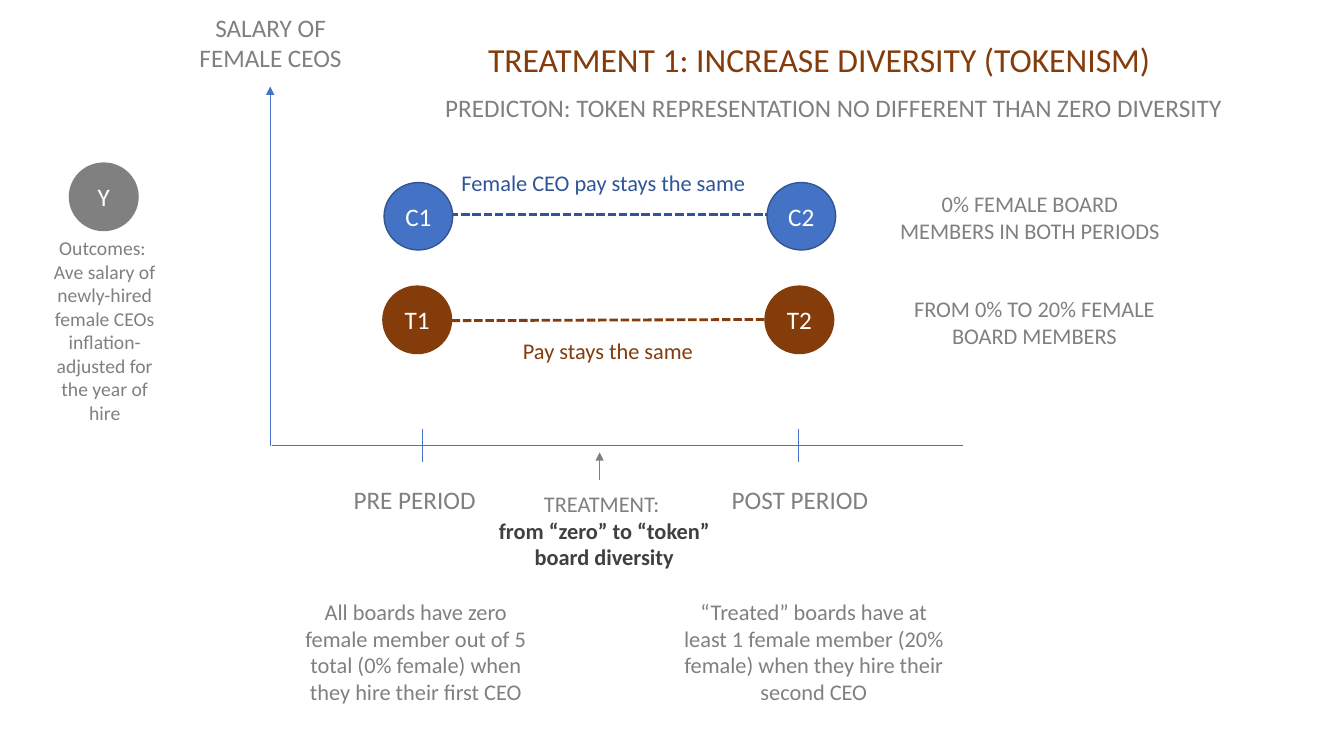
from lxml.etree import SubElement
from pptx import Presentation
from pptx.dml.color import RGBColor
from pptx.enum.dml import MSO_LINE
from pptx.enum.shapes import MSO_CONNECTOR, MSO_SHAPE
from pptx.enum.text import MSO_ANCHOR, MSO_AUTO_SIZE, PP_ALIGN
from pptx.oxml.ns import qn
from pptx.util import Cm, Pt

GREY, DARK, WHITE = "808080", "404040", "FFFFFF"
BLUE, NAVY, OUTLINE, BROWN = "4472C4", "2F5597", "325491", "843C0B"


def color(value):
    return RGBColor.from_string(value)


class Diagram:
    font_name = "Calibri"
    circle_width, circle_height = 1.73, 1.7

    def __init__(self, page):
        self.page = page

    def add_span(self, para, text, size, tone, bold=False):
        span = para.add_run()
        span.text = text
        formats = {"name": self.font_name, "size": Pt(size), "bold": bold}
        for name, value in formats.items():
            setattr(span.font, name, value)
        span.font.color.rgb = color(tone)

    def label(self, place, lines, size, tone=GREY, wrap=True, align=PP_ALIGN.CENTER):
        box = self.page.shapes.add_textbox(*map(Cm, place))
        frame = box.text_frame
        formats = {"word_wrap": wrap, "auto_size": MSO_AUTO_SIZE.SHAPE_TO_FIT_TEXT}
        for name, value in formats.items():
            setattr(frame, name, value)
        for index, line in enumerate(lines):
            para = frame.add_paragraph() if index else frame.paragraphs[0]
            para.alignment = align
            text, tint, bold = line if isinstance(line, tuple) else (line, tone, False)
            self.add_span(para, text, size, tint, bold)

    def tag(self, place, text, size, tone=GREY):
        self.label(place, [text], size, tone, wrap=False, align=PP_ALIGN.LEFT)

    def circle(self, left, top, text, fill, outline):
        place = (left, top, self.circle_width, self.circle_height)
        shape = self.page.shapes.add_shape(MSO_SHAPE.OVAL, *map(Cm, place))
        shape.shadow.inherit = False
        shape.fill.solid()
        shape.fill.fore_color.rgb = color(fill)
        shape.line.color.rgb = color(outline)
        shape.line.width = Pt(1)
        frame = shape.text_frame
        frame.vertical_anchor = MSO_ANCHOR.MIDDLE
        para = frame.paragraphs[0]
        para.alignment = PP_ALIGN.CENTER
        self.add_span(para, text, 18, WHITE)

    def line(self, ends, tone=BLUE, width=0.5, dashed=False, arrow=False):
        link = self.page.shapes.add_connector(MSO_CONNECTOR.STRAIGHT, *map(Cm, ends))
        link.line.color.rgb = color(tone)
        link.line.width = Pt(width)
        if dashed:
            link.line.dash_style = MSO_LINE.SQUARE_DOT
        properties = link._element.spPr
        if arrow:
            SubElement(properties.get_or_add_ln(), qn("a:tailEnd"), type="triangle")
        SubElement(properties, qn("a:effectLst"))


def main():
    deck = Presentation()
    deck.slide_width, deck.slide_height = Cm(33.87), Cm(19.05)
    diagram = Diagram(deck.slides.add_slide(deck.slide_layouts[6]))

    diagram.line((6.81, 11.23, 6.81, 2.18), arrow=True)
    diagram.line((6.86, 11.23, 24.28, 11.23))
    for tick in (10.64, 20.12):
        diagram.line((tick, 10.8, tick, 11.63))
    diagram.line((15.11, 12.09, 15.11, 11.4), GREY, 1.25, arrow=True)
    diagram.line((10.77, 5.41, 19.46, 5.41), NAVY, 2, dashed=True)
    diagram.line((11.38, 8.08, 19.28, 8.05), BROWN, 2, dashed=True)

    circles = [
        (9.68, 4.6, "C1", BLUE, OUTLINE),
        (19.33, 4.6, "C2", BLUE, OUTLINE),
        (9.65, 7.21, "T1", BROWN, BROWN),
        (19.28, 7.21, "T2", BROWN, BROWN),
        (1.75, 4.11, "Y", GREY, GREY),
    ]
    for circle in circles:
        diagram.circle(*circle)

    tags = [
        ((8.66, 12.07, 3.61, 1.02), "PRE PERIOD", 18),
        ((18.19, 12.09, 3.99, 1.02), "POST PERIOD", 18),
        ((11.38, 4.14, 7.75, 0.94), "Female CEO pay stays the same", 16, NAVY),
        ((12.93, 8.36, 4.85, 0.94), "Pay stays the same", 16, BROWN),
        ((10.97, 2.21, 20.27, 1.02),
         "PREDICTON: TOKEN REPRESENTATION NO DIFFERENT THAN ZERO DIVERSITY", 18),
    ]
    for tag in tags:
        diagram.tag(*tag)

    labels = [
        ((10.97, 0.86, 19.35, 1.27),
         ["TREATMENT 1: INCREASE DIVERSITY (TOKENISM)"], 24, BROWN, False),
        ((4.7, 0.18, 4.24, 1.8), ["SALARY OF FEMALE CEOS"], 18),
        ((0.86, 5.82, 3.56, 5.05),
         ["Outcomes: ", "Ave salary of newly-hired female CEOs "
          "inflation-adjusted for the year of hire"], 14),
        ((12.07, 12.22, 6.32, 2.31),
         ["TREATMENT: ", ("from “zero” to “token” board diversity", DARK, True)], 16),
        ((7.32, 14.94, 6.32, 3),
         ["All boards have zero female member out of 5 total (0% female) "
          "when they hire their first CEO"], 16),
        ((16.94, 14.94, 7.14, 3),
         ["“Treated” boards have at least 1 female member (20% female) "
          "when they hire their second CEO"], 16),
        ((22.4, 4.67, 7.11, 1.63), ["0% FEMALE BOARD MEMBERS IN BOTH PERIODS"], 16),
        ((22.4, 7.32, 7.34, 1.63), ["FROM 0% TO 20% FEMALE BOARD MEMBERS"], 16),
    ]
    for label in labels:
        diagram.label(*label)

    deck.save("out.pptx")


if __name__ == "__main__":
    main()
